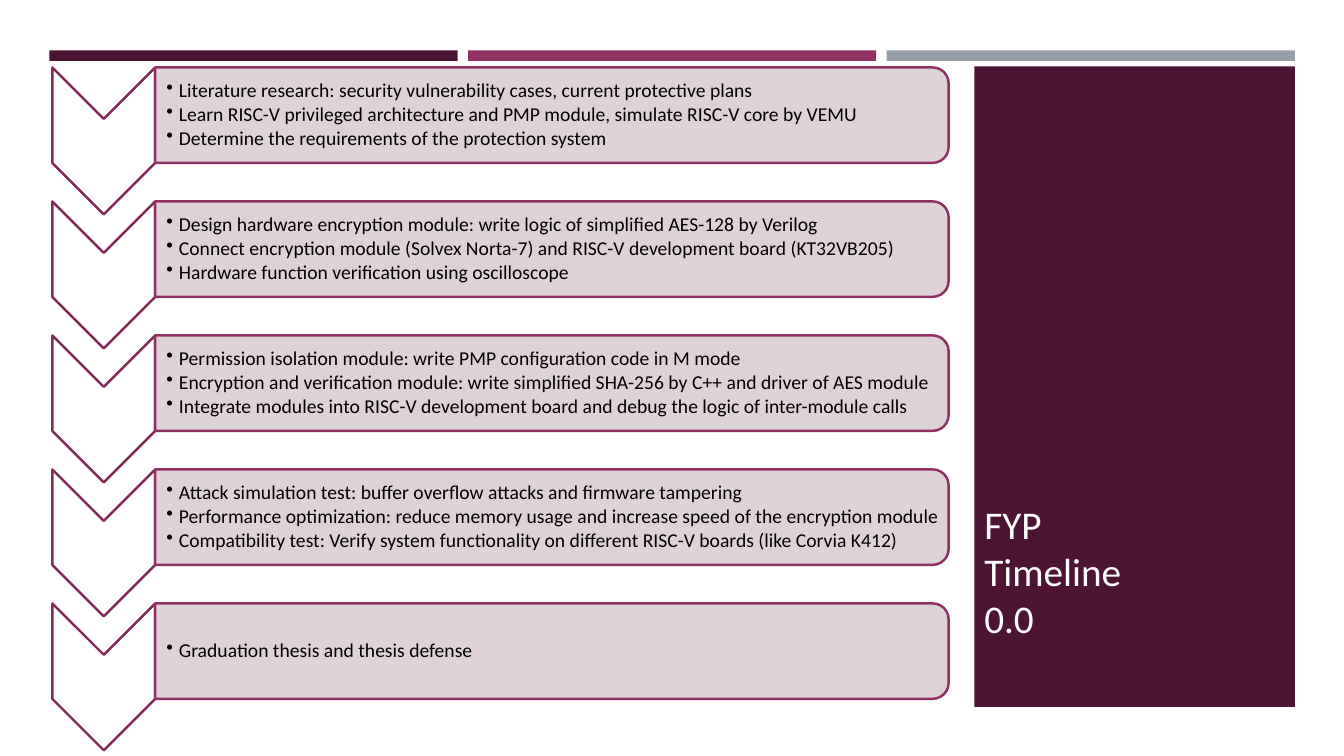
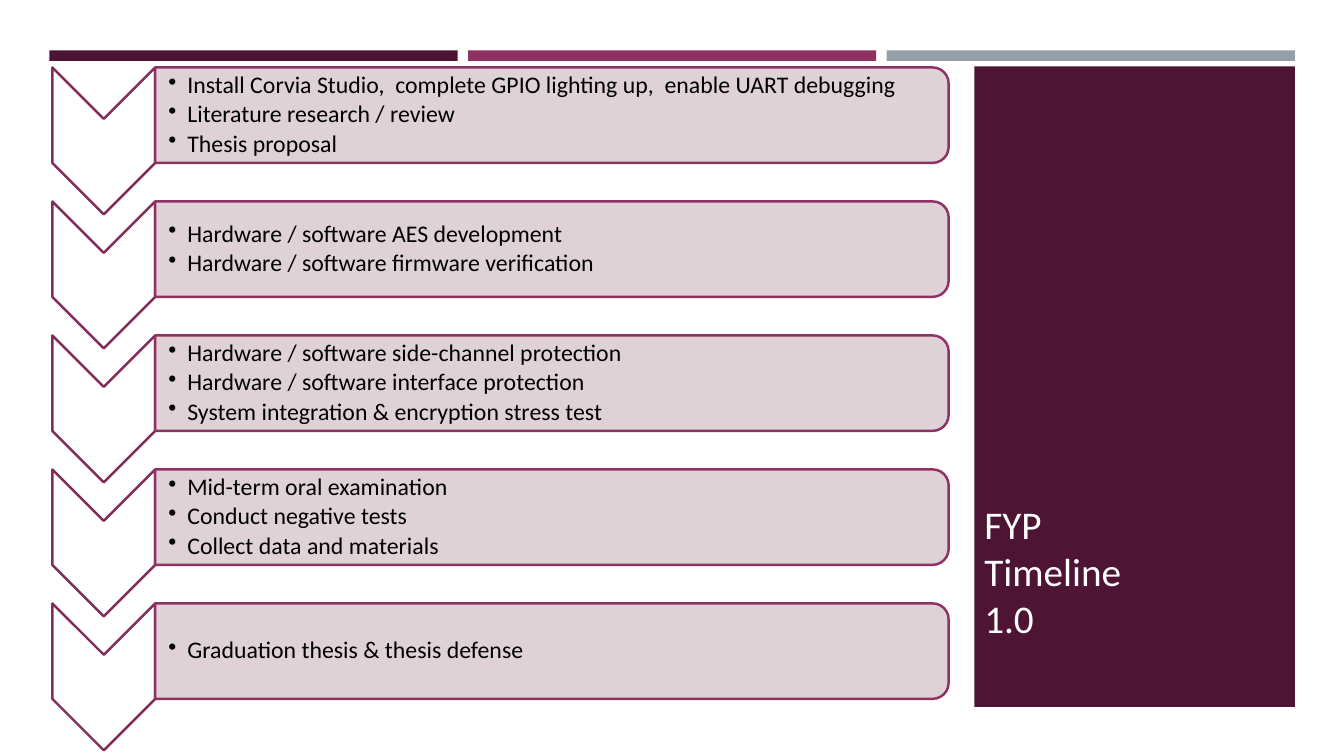
import pptx
import pptx.util
import pptx.dml.color
import pptx.enum.shapes
import pptx.enum.text
import pptx.oxml.ns
import lxml.etree

Pt = pptx.util.Pt
RGB = pptx.dml.color.RGBColor
SHAPE = pptx.enum.shapes.MSO_SHAPE
ANCHOR = pptx.enum.text.MSO_ANCHOR
qn = pptx.oxml.ns.qn

# Content: title, text size, left inset, bullet indent, steps
SLIDES = [
    ("FYP\vTimeline\v0.0", 14, 8, 9, [
        ["Literature research: security vulnerability cases, current protective plans",
         "Learn RISC-V privileged architecture and PMP module, simulate RISC-V core by VEMU",
         "Determine the requirements of the protection system"],
        ["Design hardware encryption module: write logic of simplified AES-128 by Verilog",
         "Connect encryption module (Solvex Norta-7) and RISC-V development board (KT32VB205)",
         "Hardware function verification using oscilloscope"],
        ["Permission isolation module: write PMP configuration code in M mode",
         "Encryption and verification module: write simplified SHA-256 by C++ and driver of AES module",
         "Integrate modules into RISC-V development board and debug the logic of inter-module calls"],
        ["Attack simulation test: buffer overflow attacks and firmware tampering",
         "Performance optimization: reduce memory usage and increase speed of the encryption module",
         "Compatibility test: Verify system functionality on different RISC-V boards (like Corvia K412)"],
        ["Graduation thesis and thesis defense"],
    ]),
    ("FYP\vTimeline\v1.0", 17, 9.5, 13.5, [
        ["Install Corvia Studio,  complete GPIO lighting up,  enable UART debugging",
         "Literature research / review",
         "Thesis proposal"],
        ["Hardware / software AES development",
         "Hardware / software firmware verification"],
        ["Hardware / software side-channel protection",
         "Hardware / software interface protection",
         "System integration & encryption stress test"],
        ["Mid-term oral examination",
         "Conduct negative tests",
         "Collect data and materials"],
        ["Graduation thesis & thesis defense"],
    ]),
]

# Shared style
FONT = "Calibri"
PLUM = RGB(0x4D, 0x14, 0x34)
MAGENTA = RGB(0x90, 0x31, 0x63)
GREY = RGB(0x96, 0x9F, 0xA7)
CHEVRON_LINE = RGB(0x83, 0x2C, 0x5A)
CARD_FILL = RGB(0xDB, 0xCE, 0xD3)
WHITE = RGB(0xFF, 0xFF, 0xFF)
BLACK = RGB(0, 0, 0)

# Layout, in points
BAND_LEFT, BAND_TOP, BAND_W, BAND_H, BAND_PITCH = 35.3, 36, 291.6, 7.5, 299
PANEL = (696, 47.5, 229, 457.5)
TITLE_BOX = (696, 53.3, 157.7, 408.2)
STEP_TOP, STEP_PITCH = 48.2, 95.7
CHEVRON_LEFT, CHEVRON_W, CHEVRON_H = 37.4, 73.4, 104.9
CARD_LEFT, CARD_W, CARD_H = 110.8, 566.8, 68.2
TEXT_W, TEXT_PAD = 563, 3.4


def add_block(s, kind, x, y, w, h, fill, line=None, rotation=0):
    """Place a shape by its visible box; a quarter turn swaps its sides."""
    if rotation:
        x, y, w, h = x + (w - h) / 2, y + (h - w) / 2, h, w
    sp = s.shapes.add_shape(kind, Pt(x), Pt(y), Pt(w), Pt(h))
    sp.rotation = rotation
    sp.shadow.inherit = False
    sp.fill.solid()
    sp.fill.fore_color.rgb = fill
    if line is None:
        sp.line.fill.background()
    else:
        sp.line.color.rgb = line
        sp.line.width = Pt(1.75)
    return sp


def add_text(s, box, paragraphs, size, color, anchor, insets):
    tf = s.shapes.add_textbox(*map(Pt, box)).text_frame
    tf.word_wrap = True
    tf.vertical_anchor = anchor
    tf.margin_left, tf.margin_top, tf.margin_right, tf.margin_bottom = map(Pt, insets)
    for i, text in enumerate(paragraphs):
        p = tf.add_paragraph() if i else tf.paragraphs[0]
        p.text = text
        for r in p.runs:
            r.font.name = FONT
            r.font.size = Pt(size)
            r.font.color.rgb = color
    return tf


def add_bullet(p, indent):
    p.line_spacing = 0.9
    pPr = p._p.get_or_add_pPr()
    pPr.set("marL", str(Pt(indent)))
    pPr.set("indent", str(-Pt(indent)))
    after = lxml.etree.SubElement(pPr, qn("a:spcAft"))
    lxml.etree.SubElement(after, qn("a:spcPct")).set("val", "15000")
    lxml.etree.SubElement(pPr, qn("a:buChar")).set("char", "•")


def add_frame(s, title):
    # Top bands, side panel and title
    for i, color in enumerate((PLUM, MAGENTA, GREY)):
        add_block(s, SHAPE.RECTANGLE, BAND_LEFT + i * BAND_PITCH, BAND_TOP,
                  BAND_W, BAND_H, color)
    add_block(s, SHAPE.RECTANGLE, *PANEL, PLUM)
    add_text(s, TITLE_BOX, [title], 28, WHITE, ANCHOR.BOTTOM, (7.2, 3.6, 7.2, 3.6))


def add_step(s, y, lines, size, inset, indent):
    # Chevron, card and bullets
    add_block(s, SHAPE.CHEVRON, CHEVRON_LEFT, y, CHEVRON_W, CHEVRON_H,
              WHITE, CHEVRON_LINE, 90)
    card = add_block(s, SHAPE.ROUND_2_SAME_RECTANGLE, CARD_LEFT, y, CARD_W, CARD_H,
                     CARD_FILL, MAGENTA, 90)
    clr = card.fill._xPr.find(qn("a:solidFill"))[0]
    lxml.etree.SubElement(clr, qn("a:alpha")).set("val", "90000")
    box = (CARD_LEFT, y + TEXT_PAD, TEXT_W, CARD_H - 2 * TEXT_PAD)
    tf = add_text(s, box, lines, size, BLACK, ANCHOR.MIDDLE, (inset, 0.7, 0.7, 0.7))
    for p in tf.paragraphs:
        add_bullet(p, indent)


def main():
    prs = pptx.Presentation()
    prs.slide_width, prs.slide_height = Pt(960), Pt(540)
    for title, size, inset, indent, steps in SLIDES:
        s = prs.slides.add_slide(prs.slide_layouts[6])
        add_frame(s, title)
        for i, lines in enumerate(steps):
            add_step(s, STEP_TOP + i * STEP_PITCH, lines, size, inset, indent)
    prs.save("out.pptx")


if __name__ == "__main__":
    main()
